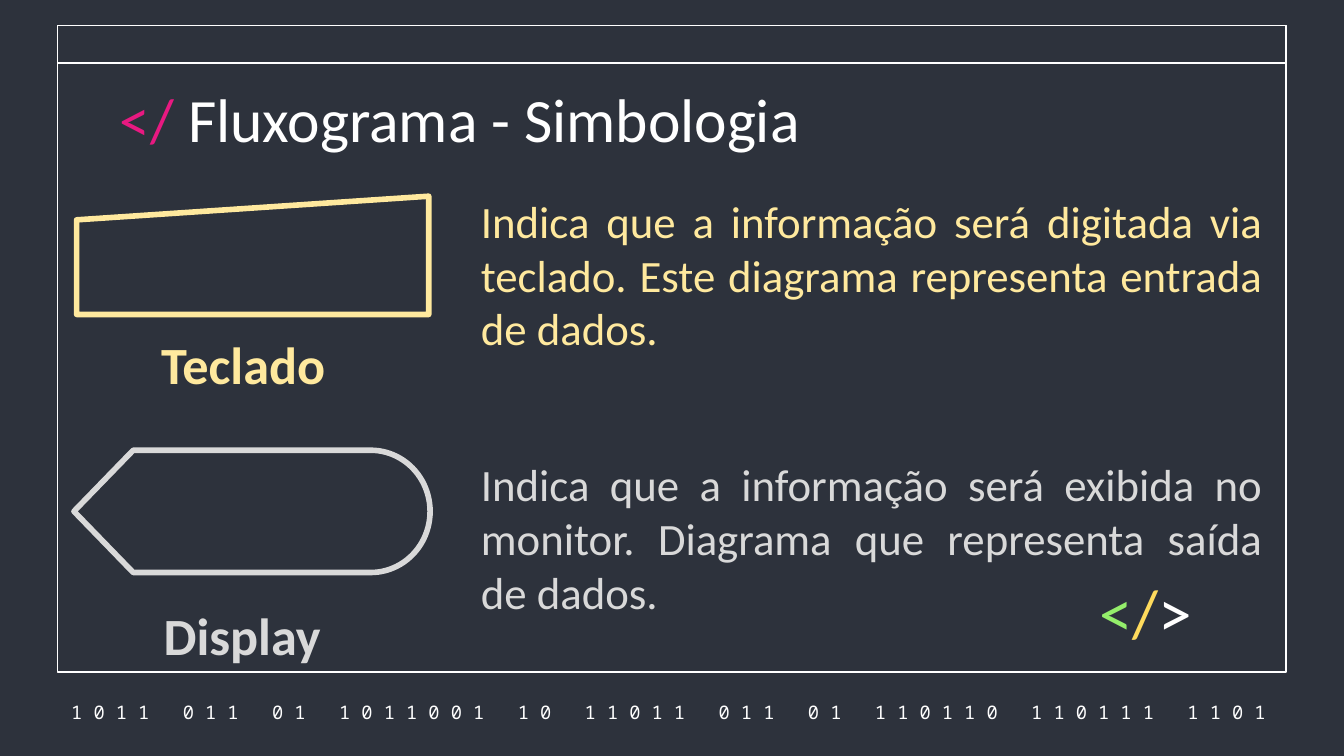
"""Build a slide on the keyboard and display flowchart symbols."""
from pptx import Presentation
from pptx.dml.color import RGBColor
from pptx.enum.shapes import MSO_SHAPE
from pptx.enum.text import MSO_ANCHOR, MSO_AUTO_SIZE, PP_ALIGN
from pptx.util import Inches, Pt

LEFT, CENTER, JUSTIFY = PP_ALIGN.LEFT, PP_ALIGN.CENTER, PP_ALIGN.JUSTIFY
TOP, MIDDLE = MSO_ANCHOR.TOP, MSO_ANCHOR.MIDDLE
RECTANGLE = MSO_SHAPE.RECTANGLE
KEYBOARD, DISPLAY = MSO_SHAPE.FLOWCHART_MANUAL_INPUT, MSO_SHAPE.FLOWCHART_DISPLAY
NO_AUTOFIT = MSO_AUTO_SIZE.NONE

THEME = {
    "font": "Calibri", "mono": "Noto Sans Mono",
    "dark": "2D323C", "white": "FFFFFF", "pink": "E81981",
    "green": "94EE6B", "yellow": "FFDB5D", "cream": "FFE99E", "gray": "D9D9D9",
    "title": 33, "tag": 36, "label": 28, "body": 24, "code": 10,
    "frame_line": 0.75, "symbol_line": 3,
}

PAGE_WIDTH = Inches(10)
PAGE_HEIGHT = PAGE_WIDTH * 9 // 16
TITLE = [("</ ", "pink"), ("Fluxograma - Simbologia", "white")]
TAG = [("<", "green"), ("/", "yellow"), (">", "white")]
BITS = ["1011", "011", "01", "1011001", "10", "11011", "011", "01",
        "110110", "110111", "1101"]
GROUP_GAP = 12
FRAMES = [(0.43, 0.19, 9.14, 4.81), (0.43, 0.19, 9.14, 0.28)]
SYMBOLS = [
    {"kind": KEYBOARD, "color": "cream", "at": (0.57, 1.46, 2.62, 0.88),
     "label": "Teclado", "label_at": (1.1, 2.42, 1.69, 0.57), "text_top": 1.39,
     "text": "Indica que a informação será digitada via teclado. "
             "Este diagrama representa entrada de dados."},
    {"kind": DISPLAY, "color": "gray", "at": (0.55, 3.35, 2.65, 0.91),
     "label": "Display", "label_at": (1.12, 4.44, 1.6, 0.57), "text_top": 3.35,
     "text": "Indica que a informação será exibida no monitor. "
             "Diagrama que representa saída de dados."},
]


def color(name):
    return RGBColor.from_string(THEME[name])


def apply(target, values):
    for name, value in values.items():
        setattr(target, name, value)


def place(at):
    return [Inches(value) for value in at]


def add_span(para, text, tint, size, face="font", bold=False):
    span = para.add_run()
    span.text = text
    apply(span.font, {"name": THEME[face], "size": Pt(THEME[size]), "bold": bold})
    span.font.color.rgb = color(tint)
    return span


def format_box(box, align=LEFT, anchor=TOP, wrap=True, inset=0.05):
    apply(box.text_frame, {
        "word_wrap": wrap, "auto_size": NO_AUTOFIT, "vertical_anchor": anchor,
        "margin_left": Inches(0.1), "margin_right": Inches(0.1),
        "margin_top": Inches(inset), "margin_bottom": Inches(inset)})
    para = box.text_frame.paragraphs[0]
    para.alignment = align
    return para


def add_box(page, at, **layout):
    return format_box(page.shapes.add_textbox(*place(at)), **layout)


def add_outline(page, kind, at, tint, width, fill=None):
    shape = page.shapes.add_shape(kind, *place(at))
    shape.shadow.inherit = False
    if fill:
        shape.fill.solid()
        shape.fill.fore_color.rgb = color(fill)
    else:
        shape.fill.background()
    shape.line.color.rgb = color(tint)
    shape.line.width = Pt(THEME[width])


def add_title(page):
    title = page.shapes.title
    apply(title, dict(zip(("left", "top", "width", "height"),
                          place((0.79, 0.5, 8.43, 0.63)))))
    para = format_box(title, inset=0.1)
    for text, tint in TITLE:
        add_span(para, text, tint, "title")


def add_bits(page):
    para = add_box(page, (0.38, 5.2, 9.27, 0.2), align=CENTER, anchor=MIDDLE, inset=0.1)
    for index, group in enumerate(BITS):
        if index:
            gap = add_span(para, " ", "white", "code", "mono")
            gap.font._element.set("spc", str(GROUP_GAP * 100))
        add_span(para, " ".join(group), "white", "code", "mono")
    add_span(para, " ", "white", "code", "mono")


def add_tag(page):
    para = add_box(page, (7.83, 4.3, 1.39, 0.56), align=CENTER, anchor=MIDDLE, inset=0.1)
    para.line_spacing = 0.9
    for text, tint in TAG:
        add_span(para, text, tint, "tag")


def add_symbol(page, symbol):
    tint = symbol["color"]
    label = add_box(page, symbol["label_at"], wrap=False)
    add_span(label, symbol["label"], tint, "label", bold=True)
    body = add_box(page, (3.48, symbol["text_top"], 6.01, 1.31), align=JUSTIFY)
    add_span(body, symbol["text"], tint, "body")
    add_outline(page, symbol["kind"], symbol["at"], tint, "symbol_line")


def main():
    deck = Presentation()
    apply(deck, {"slide_width": PAGE_WIDTH, "slide_height": PAGE_HEIGHT})
    page = deck.slides.add_slide(deck.slide_layouts[5])
    page.background.fill.solid()
    page.background.fill.fore_color.rgb = color("dark")
    for at in FRAMES:
        add_outline(page, RECTANGLE, at, "white", "frame_line", "dark")
    add_bits(page)
    title = page.shapes.title._element
    title.getparent().append(title)
    add_title(page)
    add_tag(page)
    for symbol in SYMBOLS:
        add_symbol(page, symbol)
    deck.save("out.pptx")


if __name__ == "__main__":
    main()
